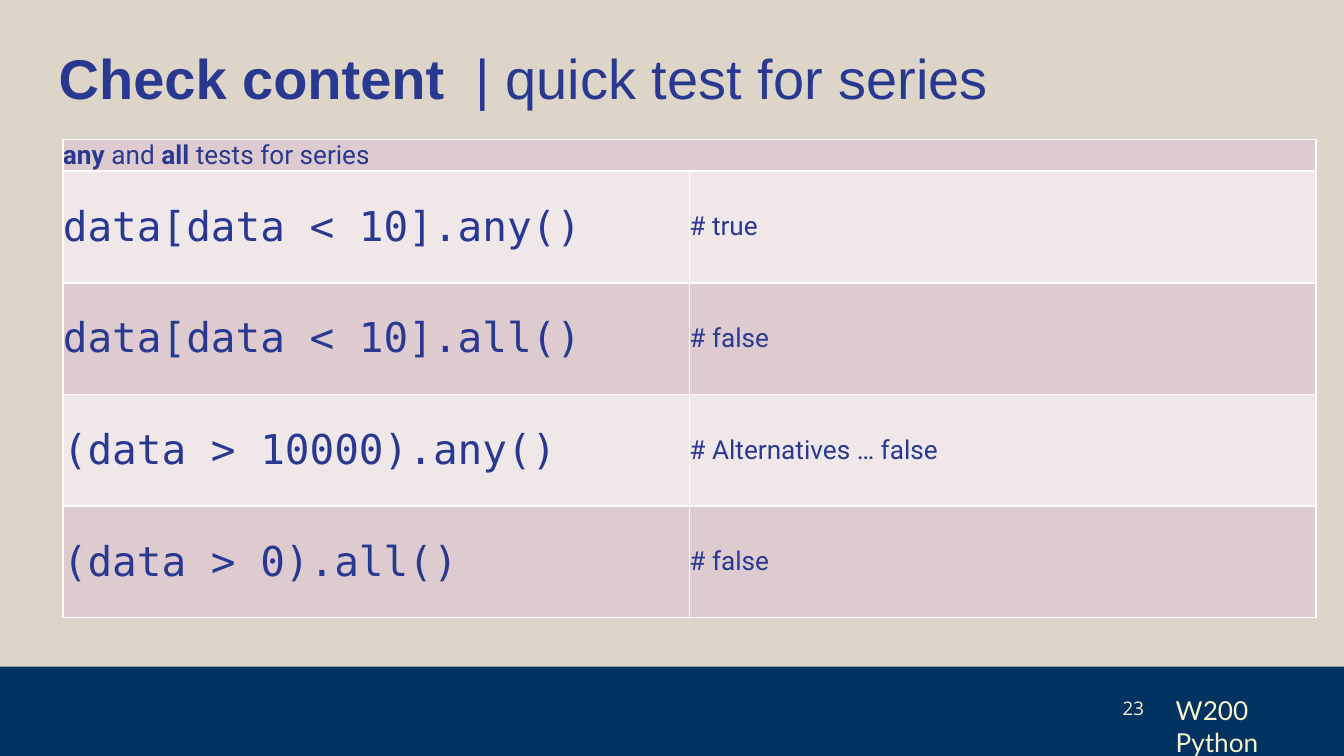
import pptx
import pptx.dml.color
import pptx.enum.shapes
import pptx.enum.text
import pptx.util
from lxml import etree
from pptx.dml.color import RGBColor
from pptx.enum.text import MSO_ANCHOR, PP_ALIGN
from pptx.util import Cm, Pt

SAND = RGBColor(0xDD, 0xD5, 0xC7)
NAVY = RGBColor(0x00, 0x32, 0x62)
CREAM = RGBColor(0xF8, 0xF3, 0xCB)
INDIGO = RGBColor(0x2A, 0x39, 0x90)
ROSE = RGBColor(0xDE, 0xCB, 0xCF)
PALE_ROSE = RGBColor(0xEF, 0xE7, 0xE8)
WHITE = RGBColor(0xFF, 0xFF, 0xFF)

HEADING = [("any", True), (" and ", False), ("all", True), (" tests for series", False)]
TESTS = [
    ("data[data < 10].any()", "# true"),
    ("data[data < 10].all()", "# false"),
    ("(data > 10000).any()", "# Alternatives … false"),
    ("(data > 0).all()", "# false"),
]


def write(frame, runs, font_name, size, color, margin, anchor, align=PP_ALIGN.LEFT):
    """Fill a text frame with one paragraph of (text, bold) runs."""
    frame.margin_left = frame.margin_right = margin
    frame.margin_top = frame.margin_bottom = margin
    frame.vertical_anchor = anchor
    paragraph = frame.paragraphs[0]
    paragraph.alignment = align
    font = paragraph.font
    font.name, font.size, font.color.rgb = font_name, Pt(size), color
    for text, bold in runs:
        run = paragraph.add_run()
        run.text = text
        run.font.bold = bold


def add_title(slide):
    title = slide.shapes.title
    title.left, title.top, title.width, title.height = Cm(0.86), Cm(0.58), Cm(23.67), Cm(1.68)
    title.text_frame.auto_size = pptx.enum.text.MSO_AUTO_SIZE.NONE
    write(title.text_frame, [("Check content  ", True), ("| quick test for series", False)],
          "Arial", 30, INDIGO, Cm(0.25), MSO_ANCHOR.TOP)


def add_label(slide, text, box, font_name, size, margin, anchor, align, wrap):
    label = slide.shapes.add_textbox(*map(Cm, box))
    label.text_frame.word_wrap = wrap
    write(label.text_frame, [(text, False)], font_name, size, CREAM, margin, anchor, align)


def add_footer(slide):
    band = slide.shapes.add_shape(pptx.enum.shapes.MSO_SHAPE.RECTANGLE,
                                  0, Cm(12.6), Cm(25.4), Cm(1.69))
    band.shadow.inherit = False
    band.fill.solid()
    band.fill.fore_color.rgb = NAVY
    band.line.fill.background()
    add_label(slide, "W200 Python", (22.22, 13.13, 2.77, 0.48), "Lato", 14,
              0, MSO_ANCHOR.TOP, PP_ALIGN.LEFT, True)
    add_label(slide, "23", (20.93, 12.88, 0.94, 0.99), "Open Sans", 10,
              Cm(0.25), MSO_ANCHOR.MIDDLE, PP_ALIGN.RIGHT, False)


def style_cell(cell, color):
    """White border on every side, then the fill, which must follow it."""
    properties = cell._tc.get_or_add_tcPr()
    for side in ("lnL", "lnR", "lnT", "lnB"):
        line = etree.SubElement(properties, pptx.oxml.ns.qn(f"a:{side}"), w=str(Pt(1)))
        solid = etree.SubElement(line, pptx.oxml.ns.qn("a:solidFill"))
        etree.SubElement(solid, pptx.oxml.ns.qn("a:srgbClr"), val=str(WHITE))
    cell.fill.solid()
    cell.fill.fore_color.rgb = color


def write_cell(cell, runs, font_name, size):
    write(cell.text_frame, runs, font_name, size, INDIGO, 0, MSO_ANCHOR.MIDDLE)
    cell.margin_left = cell.margin_right = cell.margin_top = cell.margin_bottom = 0
    cell.vertical_anchor = MSO_ANCHOR.MIDDLE


def add_tests_table(slide):
    table = slide.shapes.add_table(len(TESTS) + 1, 2, Cm(1.19), Cm(2.64),
                                   Cm(23.68), Cm(9.02)).table
    table.first_row = table.horz_banding = False
    for column in table.columns:
        column.width = Cm(11.84)
    for index, row in enumerate(table.rows):
        row.height = Cm(2.11 if index else 0.58)
        for cell in row.cells:
            style_cell(cell, PALE_ROSE if index % 2 else ROSE)

    # Heading across both columns
    table.cell(0, 0).merge(table.cell(0, 1))
    write_cell(table.cell(0, 0), HEADING, "Roboto", 14)

    # Expression and its result
    for index, (expression, result) in enumerate(TESTS, start=1):
        write_cell(table.cell(index, 0), [(expression, False)], "DejaVu Sans Mono", 22)
        write_cell(table.cell(index, 1), [(result, False)], "Roboto", 14)


def main():
    deck = pptx.Presentation()
    deck.slide_width, deck.slide_height = Cm(25.4), Cm(14.29)
    slide = deck.slides.add_slide(deck.slide_layouts.get_by_name("Title Only"))
    slide.background.fill.solid()
    slide.background.fill.fore_color.rgb = SAND
    add_footer(slide)
    add_title(slide)
    add_tests_table(slide)
    deck.save("out.pptx")


if __name__ == "__main__":
    main()
